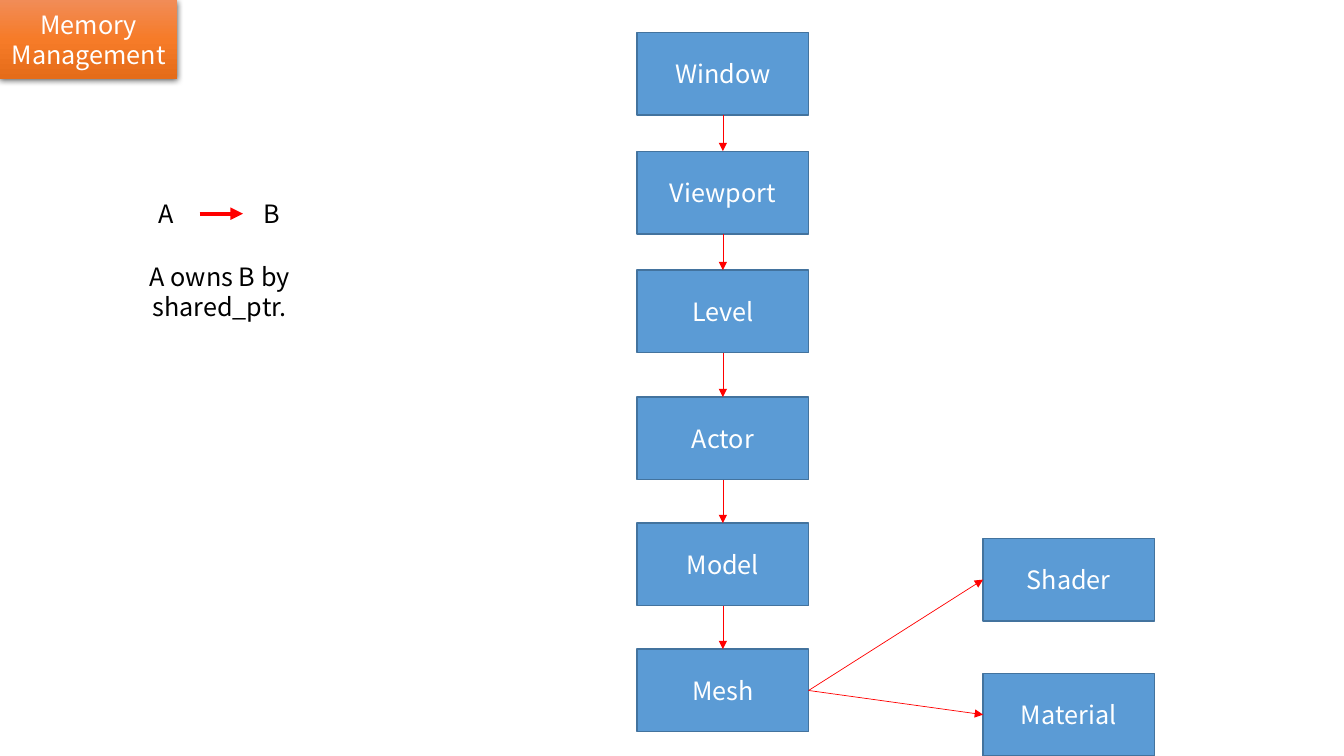
from itertools import pairwise

from pptx import Presentation
from pptx.dml.color import RGBColor
from pptx.enum.shapes import MSO_CONNECTOR as Link, MSO_SHAPE as Preset
from pptx.enum.text import MSO_ANCHOR as Anchor, MSO_AUTO_SIZE as AutoSize, PP_ALIGN as Align
from pptx.oxml import parse_xml
from pptx.oxml.ns import nsdecls, qn
from pptx.oxml.xmlchemy import OxmlElement
from pptx.util import Inches, Pt

COLORS = {"box": "5B9BD5", "edge": "43739E", "arrow": "FF0000", "light": "FFFFFF",
          "dark": "000000", "shadow": "000000"}
TITLE_STOPS = {0: "F18C57", 50: "F67B28", 100: "E56C19"}
FRAME = {"word_wrap": True, "auto_size": AutoSize.NONE, "vertical_anchor": Anchor.MIDDLE,
         "margin_left": Inches(0.1), "margin_right": Inches(0.1),
         "margin_top": Inches(0.05), "margin_bottom": Inches(0.05)}
FONT = {"name": "Noto Sans CJK SC", "size": Pt(18), "bold": False}
TOP, LEFT, BOTTOM, RIGHT = range(4)
BOX_WIDTH, BOX_HEIGHT = 1.7, 0.82


def apply(target, values):
    """Set every attribute of target named in values."""
    for name, value in values.items():
        setattr(target, name, value)


class OwnershipSlide:
    """Holds the diagram style and the page being drawn."""

    def __init__(self, deck):
        """Add a title-only page to the deck."""
        self.page = deck.slides.add_slide(deck.slide_layouts[5])

    def caption(self, shape, text, color, spacing=None):
        """Fill a shape with one centred paragraph."""
        apply(shape.text_frame, FRAME)
        para = shape.text_frame.paragraphs[0]
        apply(para, {"alignment": Align.CENTER, "line_spacing": spacing})
        span = para.add_run()
        span.text = text
        apply(span.font, FONT)
        span.font.color.rgb = RGBColor.from_string(COLORS[color])

    def title(self, text, width, height):
        """Turn the title placeholder into a shaded corner tag."""
        tag = self.page.shapes.title
        apply(tag, {"left": 0, "top": 0, "width": Inches(width), "height": Inches(height)})
        self.caption(tag, text, "light", Pt(21.5))
        stops = "".join(f'<a:gs pos="{place * 1000}"><a:srgbClr val="{color}"/></a:gs>'
                        for place, color in TITLE_STOPS.items())
        properties = tag._element.spPr
        properties.append(parse_xml(
            f'<a:gradFill {nsdecls("a")}><a:gsLst>{stops}</a:gsLst>'
            '<a:lin ang="5400000" scaled="0"/></a:gradFill>'))
        properties.append(parse_xml(
            f'<a:effectLst {nsdecls("a")}><a:outerShdw blurRad="{Pt(4.5)}" dist="{Pt(1.5)}" '
            f'dir="5400000" algn="ctr" rotWithShape="0"><a:srgbClr val="{COLORS["shadow"]}">'
            '<a:alpha val="63000"/></a:srgbClr></a:outerShdw></a:effectLst>'))

    def box(self, text, left, top):
        """Draw one class box."""
        box = self.page.shapes.add_shape(Preset.RECTANGLE, Inches(left), Inches(top),
                                         Inches(BOX_WIDTH), Inches(BOX_HEIGHT))
        box.shadow.inherit = False
        box.fill.solid()
        box.fill.fore_color.rgb = RGBColor.from_string(COLORS["box"])
        box.line.color.rgb = RGBColor.from_string(COLORS["edge"])
        box.line.width = Pt(1)
        self.caption(box, text, "light")
        return box

    def label(self, text, left, top, width, height, spacing=None):
        """Place plain legend text."""
        area = self.page.shapes.add_textbox(*map(Inches, (left, top, width, height)))
        self.caption(area, text, "dark", spacing)

    def arrow(self, start=(0, 0), end=(0, 0), width=0.5):
        """Draw a red arrow between two points."""
        arrow = self.page.shapes.add_connector(Link.STRAIGHT, *map(Inches, (*start, *end)))
        arrow.line.color.rgb = RGBColor.from_string(COLORS["arrow"])
        arrow.line.width = Pt(width)
        head = OxmlElement("a:tailEnd")
        head.set("type", "triangle")
        properties = arrow._element.spPr
        properties.find(qn("a:ln")).append(head)
        properties.append(OxmlElement("a:effectLst"))
        return arrow

    def own(self, owner, owner_side, owned, owned_side):
        """Attach an arrow from an owner box to the box it owns."""
        arrow = self.arrow()
        arrow.begin_connect(owner, owner_side)
        arrow.end_connect(owned, owned_side)


deck = Presentation()
apply(deck, {"slide_width": Inches(13.33), "slide_height": Inches(7.5)})
slide = OwnershipSlide(deck)
slide.title("Memory Management", 1.76, 0.78)

chain_tops = [0.32 + 1.18 * row for row in range(3)] + [3.94 + 1.25 * row for row in range(3)]
chain_names = ["Window", "Viewport", "Level", "Actor", "Model", "Mesh"]
chain = [slide.box(name, 6.32, top) for name, top in zip(chain_names, chain_tops)]
for owner, owned in pairwise(chain):
    slide.own(owner, BOTTOM, owned, TOP)
for name, top in {"Shader": 5.34, "Material": 6.68}.items():
    slide.own(chain[-1], RIGHT, slide.box(name, 9.75, top), LEFT)

slide.label("A", 1.38, 1.88, 0.54, 0.48)
slide.arrow((1.98, 2.12), (2.41, 2.12), 3)
slide.label("B", 2.45, 1.88, 0.49, 0.48)
slide.label("A owns B by shared_ptr.", 1.33, 2.48, BOX_WIDTH, BOX_HEIGHT, Pt(21.5))

deck.save("out.pptx")
